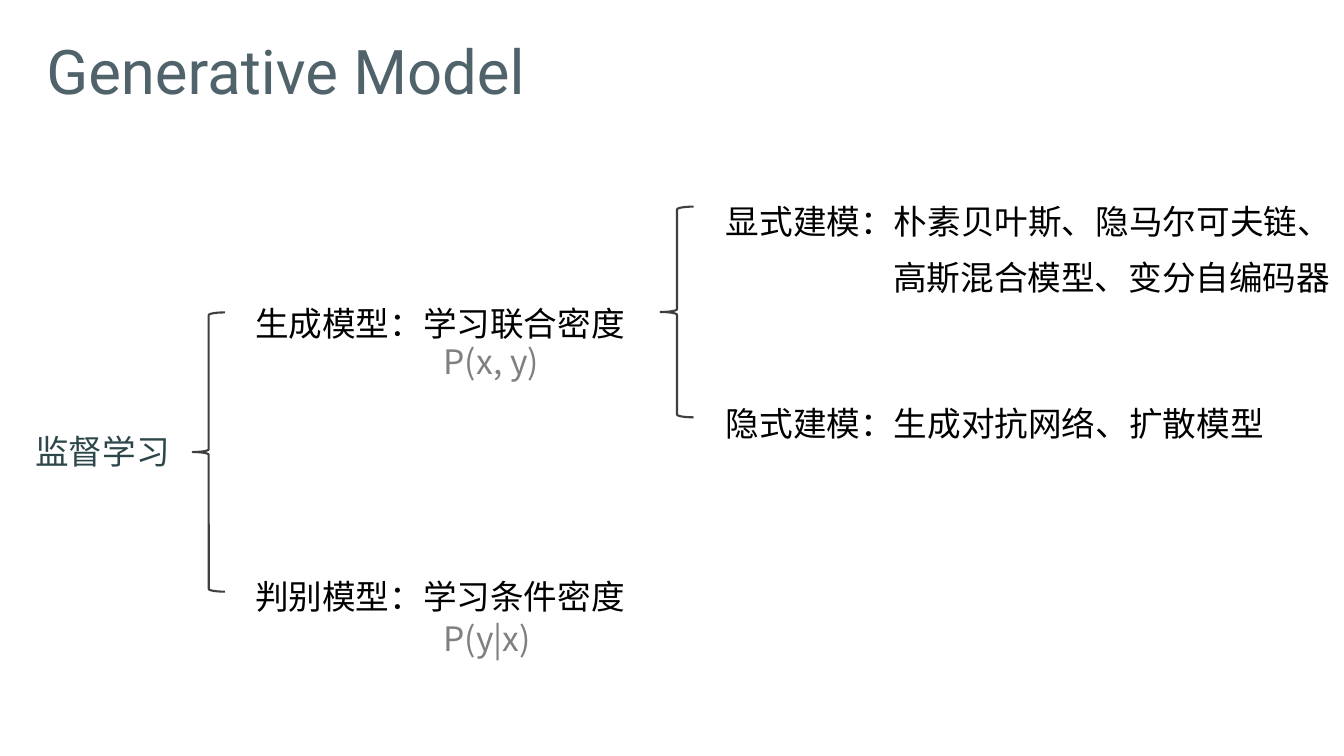
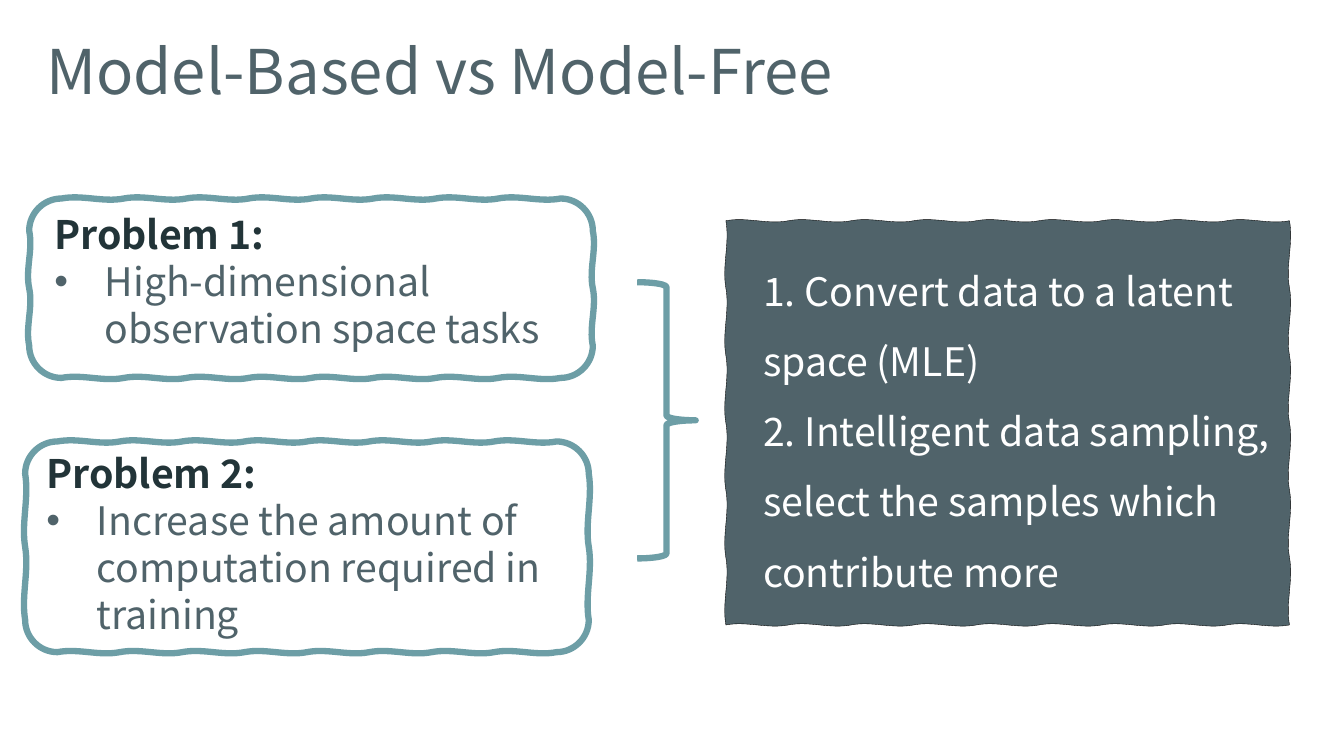
from math import cos, pi, sin

from lxml.etree import SubElement
from pptx import Presentation
from pptx.dml.color import RGBColor
from pptx.enum.shapes import MSO_SHAPE as Preset
from pptx.enum.text import MSO_ANCHOR as Anchor, MSO_AUTO_SIZE as AutoSize, PP_ALIGN as Align
from pptx.oxml.ns import qn
from pptx.util import Inches, Pt

SLATE = RGBColor(0x50, 0x63, 0x6A)
DEEP_SLATE = RGBColor(0x22, 0x34, 0x38)
ROOT_SLATE = RGBColor(0x2D, 0x46, 0x4A)
TEAL = RGBColor(0x6D, 0x9E, 0xA6)
CHARCOAL = RGBColor(0x3F, 0x3F, 0x3F)
GRAY = RGBColor(0x80, 0x80, 0x80)
BLACK = RGBColor(0, 0, 0)
WHITE = RGBColor(0xFF, 0xFF, 0xFF)

SANS = "Noto Sans CJK JP"
TITLE_BOX = (0.46, 0.34, 12.4, 0.74)
TITLE_ONLY, TWO_CONTENT = 5, 3
ARC_PULL = 0.55


def place(shape, box):
    """Move a shape to a box given in inches."""
    shape.left, shape.top, shape.width, shape.height = map(Inches, box)


def prepare_frame(frame):
    """Give a text frame no insets, wrapping and top anchoring."""
    frame.auto_size = AutoSize.NONE
    frame.word_wrap = True
    frame.vertical_anchor = Anchor.TOP
    frame.margin_left = frame.margin_right = frame.margin_top = frame.margin_bottom = 0


def style_paragraph(para, size, color, leading, face=SANS, bold=False):
    """Set the spacing and font of one paragraph."""
    para.alignment = Align.LEFT
    para.line_spacing = Pt(leading)
    para.space_before = para.space_after = Pt(0)
    font = para.font
    font.size, font.bold, font.name = Pt(size), bold, face
    font.color.rgb = color
    east_asian = SubElement(para._p.pPr.find(qn("a:defRPr")), qn("a:ea"))
    east_asian.set("typeface", face)


def set_indent(para, hanging):
    """Give a paragraph a hanging bullet, or no bullet when hanging is zero."""
    properties = para._p.get_or_add_pPr()
    properties.set("marL", str(Inches(hanging)))
    properties.set("indent", str(-Inches(hanging)))
    if not hanging:
        SubElement(properties, qn("a:buNone"))


def start_page(deck, layout, title, face=SANS):
    """Add a slide with the shared title style."""
    page = deck.slides.add_slide(deck.slide_layouts[layout])
    heading = page.shapes.title
    place(heading, TITLE_BOX)
    prepare_frame(heading.text_frame)
    heading.text_frame.text = title
    style_paragraph(heading.text_frame.paragraphs[0], 44, SLATE, 52, face)
    return page


def add_text(page, box, text, size, color, leading):
    """Add a text box with one paragraph."""
    frame = page.shapes.add_textbox(*map(Inches, box)).text_frame
    prepare_frame(frame)
    frame.text = text
    style_paragraph(frame.paragraphs[0], size, color, leading)


def add_label(page, left, top, width, text):
    """Add a one-line black label of the tree."""
    add_text(page, (left, top, width, 0.69), text, 24, BLACK, 57)


def add_brace(page, preset, box, color, weight):
    """Add an unfilled brace."""
    brace = page.shapes.add_shape(preset, *map(Inches, box))
    brace.shadow.inherit = False
    brace.fill.background()
    brace.line.color.rgb = color
    brace.line.width = Pt(weight)


def wavy_curves(box, radius, ripple):
    """Return the start, then three points for each curve of a rippled box."""
    left, top, width, height = box
    near_x, far_x = left + radius, left + width - radius
    near_y, far_y = top + radius, top + height - radius
    centers = [(near_x, near_y), (far_x, near_y), (far_x, far_y), (near_x, far_y)]
    points = [(left, near_y)]
    for side, (x, y) in enumerate(centers):
        angle = pi + side * pi / 2
        back_x, back_y = radius * cos(angle), radius * sin(angle)
        out_x, out_y = cos(angle + pi / 2), sin(angle + pi / 2)
        edge_x, edge_y = x + radius * out_x, y + radius * out_y
        if radius:
            points += [(x + back_x + ARC_PULL * radius * out_x,
                        y + back_y + ARC_PULL * radius * out_y),
                       (edge_x + ARC_PULL * back_x, edge_y + ARC_PULL * back_y),
                       (edge_x, edge_y)]
        next_x, next_y = centers[(side + 1) % 4]
        run_x, run_y = next_x - x, next_y - y
        waves = max(2, round((abs(run_x) + abs(run_y)) / 0.62))
        for wave in range(waves):
            for part, swing in ((1 / 3, ripple), (2 / 3, -ripple), (1, 0)):
                along = (wave + part) / waves
                points.append((edge_x + run_x * along + swing * out_x,
                               edge_y + run_y * along + swing * out_y))
    return [(Inches(x), Inches(y)) for x, y in points]


def bend_lines(shape):
    """Turn each three line segments of a freeform into one curve."""
    outline = shape._element.find(".//" + qn("a:path"))
    lines = outline.findall(qn("a:lnTo"))
    for first, second, third in zip(lines[::3], lines[1::3], lines[2::3]):
        curve = SubElement(outline, qn("a:cubicBezTo"))
        first.addprevious(curve)
        for line in (first, second, third):
            curve.append(line[0])
            outline.remove(line)


def add_sketch(page, box, radius, line, weight, fill=None):
    """Add a box with a hand-drawn outline."""
    first, *rest = wavy_curves(box, radius, 0.04)
    builder = page.shapes.build_freeform(*first)
    builder.add_line_segments(rest)
    sketch = builder.convert_to_shape()
    bend_lines(sketch)
    sketch.shadow.inherit = False
    if fill is None:
        sketch.fill.background()
    else:
        sketch.fill.solid()
        sketch.fill.fore_color.rgb = fill
    sketch.line.color.rgb = line
    sketch.line.width = Pt(weight)


def add_problem(page, holder, box, offset, heading, detail):
    """Fill a body placeholder with a problem and frame it."""
    left, top, width, height = box
    right, down = offset
    add_sketch(page, box, 0.32, TEAL, 4.5)
    place(holder, (left + right, top + down, width - 0.25, height - 0.3))
    frame = holder.text_frame
    prepare_frame(frame)
    frame.text = f"{heading}\n{detail}"
    name, bullet = frame.paragraphs
    set_indent(name, 0)
    set_indent(bullet, 0.5)
    style_paragraph(name, 28, DEEP_SLATE, 33.6, bold=True)
    style_paragraph(bullet, 28, SLATE, 33.6)


def add_solutions(page, box, first, second):
    """Add the dark panel with its two solutions."""
    left, top, width, height = box
    add_sketch(page, box, 0, BLACK, 0.25, SLATE)
    for text, down, tall in ((first, 0.23, 1.33), (second, 1.62, 2.04)):
        add_text(page, (left + 0.37, top + down, width - 0.39, tall), text, 28, WHITE, 50.3)


def add_branch(page, left, top, name, formula, drop):
    """Add a model family with its density below."""
    add_label(page, left, top, 7.07, name)
    add_text(page, (left + 1.87, top + drop, 3.32, 0.44), formula, 24, GRAY, 34)


def add_modeling(page, left, top):
    """Add the explicit and implicit kinds of modeling."""
    add_label(page, left, top, 6.13, "显式建模：朴素贝叶斯、隐马尔可夫链、")
    add_label(page, left + 1.66, top + 0.56, 4.47, "高斯混合模型、变分自编码器")
    add_label(page, left, top + 2.01, 6.13, "隐式建模：生成对抗网络、扩散模型")


def build_model_tree(deck):
    """Build the tree of supervised learning."""
    page = start_page(deck, TITLE_ONLY, "Generative Model", "Roboto")
    add_text(page, (0.35, 4.28, 3.55, 0.4), "监督学习", 24, ROOT_SLATE, 28.5)
    add_brace(page, Preset.LEFT_BRACE, (1.91, 3.1, 0.32, 2.77), CHARCOAL, 1.5)
    add_branch(page, 2.53, 2.61, "生成模型：学习联合密度", "P(x, y)", 0.7)
    add_branch(page, 2.53, 5.32, "判别模型：学习条件密度", "P(y|x)", 0.74)
    add_brace(page, Preset.LEFT_BRACE, (6.55, 2.05, 0.33, 2.09), CHARCOAL, 1.5)
    add_modeling(page, 7.2, 1.6)


def build_comparison(deck):
    """Build the slide of problems and solutions."""
    page = start_page(deck, TWO_CONTENT, "Model-Based vs Model-Free")
    problems = [
        ((0.29, 1.97, 5.59, 1.78), (0.25, 0.12), "Problem 1:",
         "High-dimensional observation space tasks"),
        ((0.25, 4.38, 5.59, 2.09), (0.21, 0.08), "Problem 2:",
         "Increase the amount of computation required in training"),
    ]
    holders = [page.placeholders[1], page.placeholders[2]]
    for holder, problem in zip(holders, problems):
        add_problem(page, holder, *problem)
    add_brace(page, Preset.RIGHT_BRACE, (6.32, 2.8, 0.58, 2.74), TEAL, 4.5)
    add_solutions(page, (7.2, 2.19, 5.59, 4.01),
                  "1. Convert data to a latent space (MLE)",
                  "2. Intelligent data sampling, select the samples which contribute more")


def main():
    """Build and save the deck."""
    deck = Presentation()
    deck.slide_width, deck.slide_height = Inches(13.33), Inches(7.5)
    build_model_tree(deck)
    build_comparison(deck)
    deck.save("out.pptx")


if __name__ == "__main__":
    main()
